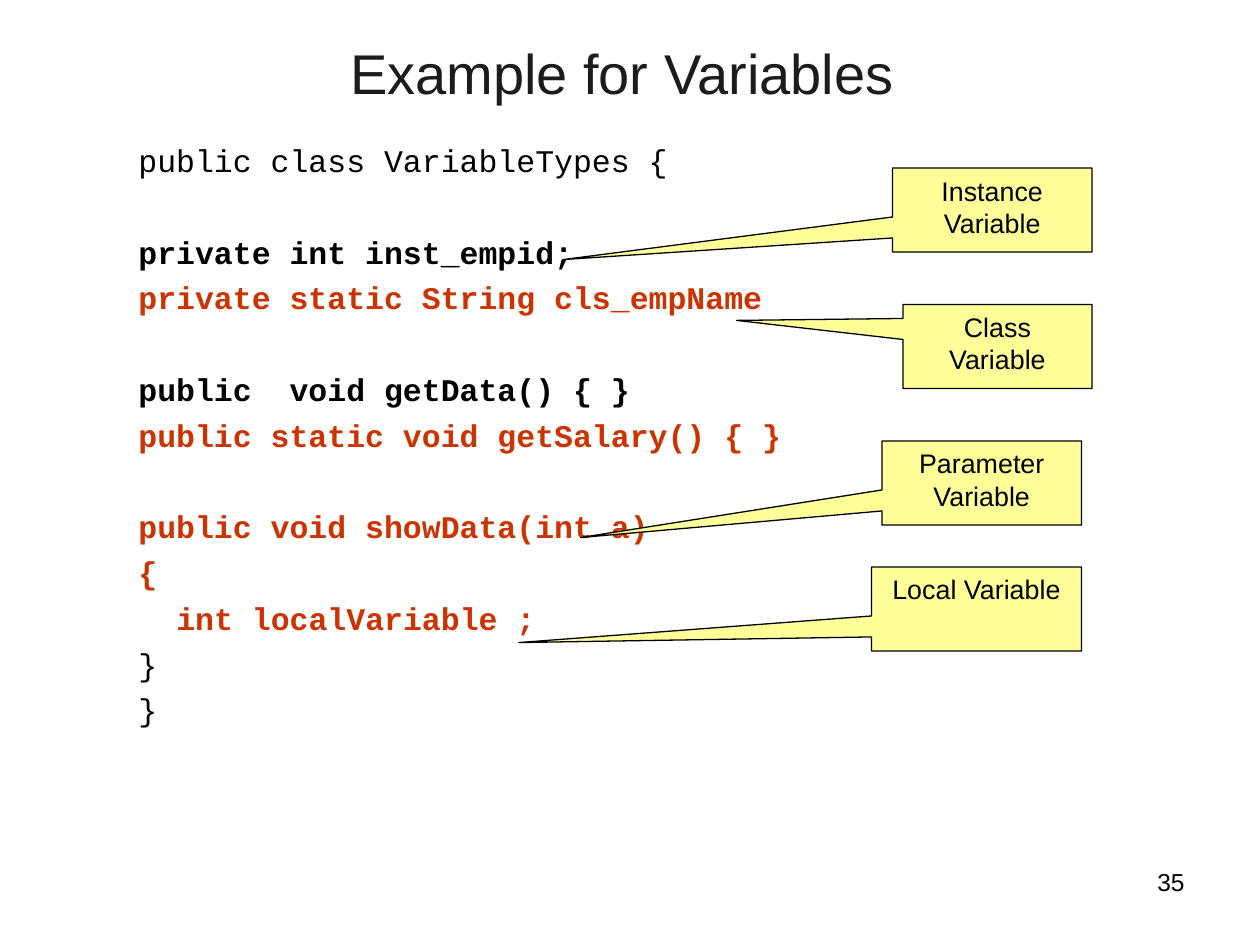
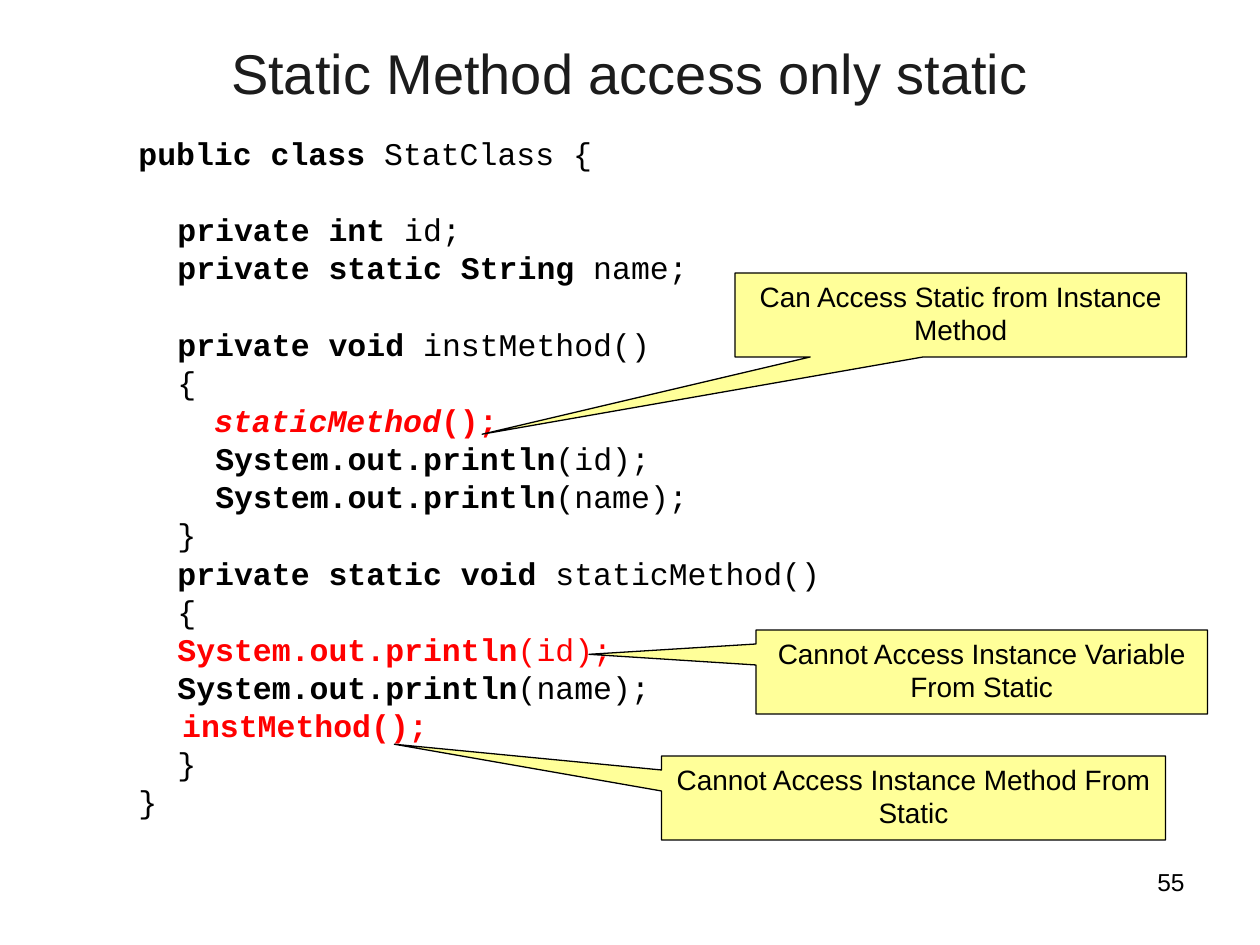
import dataclasses

import pptx
import pptx.dml.color
import pptx.enum.shapes
import pptx.enum.text
import pptx.util

ALIGN = pptx.enum.text.PP_ALIGN
ANCHOR = pptx.enum.text.MSO_ANCHOR
CALLOUT = pptx.enum.shapes.MSO_SHAPE.RECTANGULAR_CALLOUT


@dataclasses.dataclass(frozen=True)
class Theme:
    sans: str = "Arial"
    mono: str = "Courier New"
    ink: str = "000000"
    title_ink: str = "1C1C1C"
    accent: str = "CC3300"
    alert: str = "FF0000"
    note_fill: str = "FFFF99"
    title_size: float = 32
    code_size: float = 18
    number_size: float = 14
    code_line: float = 1.2


T = Theme()
WIDTH, HEIGHT = 10, 7.5
CELL = 1 / 12
STEP = 0.31
BOLD = {"bold": True}
ACCENT = {"bold": True, "color": T.accent}
ALERT = {"bold": True, "color": T.alert}

VARIABLES_CODE = [
    (0, 0, [("public class VariableTypes {", {})]),
    (0, 1, [("private int inst_empid;", BOLD)]),
    (0, 0, [("private static String cls_empName", ACCENT)]),
    (0, 1, [("public  void getData() { }", BOLD)]),
    (0, 0, [("public static void getSalary() { }", ACCENT)]),
    (0, 1, [("public void showData(int a)", ACCENT)]),
    (0, 0, [("{", ACCENT)]),
    (0.97, 0, [("int localVariable ;", ACCENT)]),
    (0, 0, [("}", {})]),
    (0, 0, [("}", {})]),
]
VARIABLES_NOTES = [
    ("Instance Variable", (85, 16, 19), (-2.15, 0.59)),
    ("Local Variable", (83, 54, 20), (-2.18, 0.4)),
    ("Parameter Variable", (84, 42, 19), (-2.01, 0.65)),
    ("Class Variable", (86, 29, 18), (-1.38, -0.31)),
]
STATIC_CODE = [
    (0, 0, [("public class", BOLD), (" StatClass {", {})]),
    (1, 1, [("private int", BOLD), (" id;", {})]),
    (1, 0, [("private static String", BOLD), (" name;", {})]),
    (1, 1, [("private void", BOLD), (" instMethod()", {})]),
    (1, 0, [("{", {})]),
    (1.94, 0, [("staticMethod", {**ALERT, "italic": True}), ("();", ALERT)]),
    (1.97, 0, [("System.out.println", BOLD), ("(id);", {})]),
    (1.97, 0, [("System.out.println", BOLD), ("(name);", {})]),
    (1, 0, [("}", {})]),
    (1, 0, [("private static void", BOLD), (" staticMethod()", {})]),
    (1, 0, [("{", {})]),
    (1, 0, [("System.out.println", ALERT), ("(id);", {"color": T.alert})]),
    (1, 0, [("System.out.println", BOLD), ("(name);", {})]),
    (1.12, 0, [("instMethod();", ALERT)]),
    (1, 0, [("}", {})]),
    (0, 0, [("}", {})]),
]
STATIC_NOTES = [
    ("Cannot Access Instance Method From Static", (63, 72, 48), (-1.03, -0.64)),
    ("Cannot Access Instance Variable From Static", (72, 60, 43), (-0.87, -0.21)),
    ("Can Access Static from Instance Method", (70, 26, 43), (-1.06, 1.42)),
]


def grid(*cells):
    return [pptx.util.Inches(n * CELL) for n in cells]


def rgb(color):
    return pptx.dml.color.RGBColor.from_string(color)


def add_text(p, text, font=T.sans, size=T.code_size, color=T.ink, bold=False, italic=False):
    r = p.add_run()
    r.text = text
    f = r.font
    f.name, f.size, f.bold, f.italic = font, pptx.util.Pt(size), bold, italic
    f.color.rgb = rgb(color)


def set_frame(tf, anchor=ANCHOR.TOP):
    tf.word_wrap = True
    tf.auto_size = pptx.enum.text.MSO_AUTO_SIZE.NONE
    tf.vertical_anchor = anchor
    tf.margin_left = tf.margin_right = pptx.util.Inches(0.1)
    tf.margin_top = tf.margin_bottom = pptx.util.Inches(0.05)


def add_slide(prs, title, number):
    s = prs.slides.add_slide(prs.slide_layouts[5])
    sp = s.shapes.title
    sp.left, sp.top, sp.width, sp.height = grid(6, 3.6, 108, 6.5)
    set_frame(sp.text_frame, ANCHOR.MIDDLE)
    p = sp.text_frame.paragraphs[0]
    p.alignment = ALIGN.CENTER
    add_text(p, title, size=T.title_size, color=T.title_ink)

    tf = s.shapes.add_textbox(*grid(86, 82, 28, 6.25)).text_frame
    set_frame(tf)
    p = tf.paragraphs[0]
    p.alignment = ALIGN.RIGHT
    add_text(p, number, size=T.number_size)
    return s


def add_code(s, lines, pitch, spacing):
    tf = s.shapes.add_textbox(*grid(12, 12.85, 102, 67.5)).text_frame
    set_frame(tf)
    line_height = T.code_size * T.code_line * spacing
    for i, (level, blanks, runs) in enumerate(lines):
        p = tf.add_paragraph() if i else tf.paragraphs[0]
        p.line_spacing = spacing
        p.space_before = pptx.util.Pt(pitch * (blanks + 1) - line_height if i else 0)
        if level:
            p._p.get_or_add_pPr().set("marL", str(pptx.util.Inches(level * STEP)))
        for text, style in runs:
            add_text(p, text, font=T.mono, **style)


def add_notes(s, notes, size):
    for text, (col, row, cols), tip in notes:
        sp = s.shapes.add_shape(CALLOUT, *grid(col, row, cols, 8))
        sp.adjustments[0], sp.adjustments[1] = tip
        sp.shadow.inherit = False
        sp.fill.solid()
        sp.fill.fore_color.rgb = rgb(T.note_fill)
        sp.line.color.rgb = rgb(T.ink)
        sp.line.width = pptx.util.Pt(0.75)
        set_frame(sp.text_frame)
        p = sp.text_frame.paragraphs[0]
        p.alignment = ALIGN.CENTER
        add_text(p, text, size=size)


def main():
    prs = pptx.Presentation()
    prs.slide_width = pptx.util.Inches(WIDTH)
    prs.slide_height = pptx.util.Inches(HEIGHT)

    s = add_slide(prs, "Example for Variables ", "35")
    add_code(s, VARIABLES_CODE, pitch=26.15, spacing=1)
    add_notes(s, VARIABLES_NOTES, size=15.3)

    s = add_slide(prs, "Static Method access only static", "55")
    add_code(s, STATIC_CODE, pitch=21.8, spacing=0.8)
    add_notes(s, STATIC_NOTES, size=16)

    prs.save("out.pptx")


if __name__ == "__main__":
    main()
